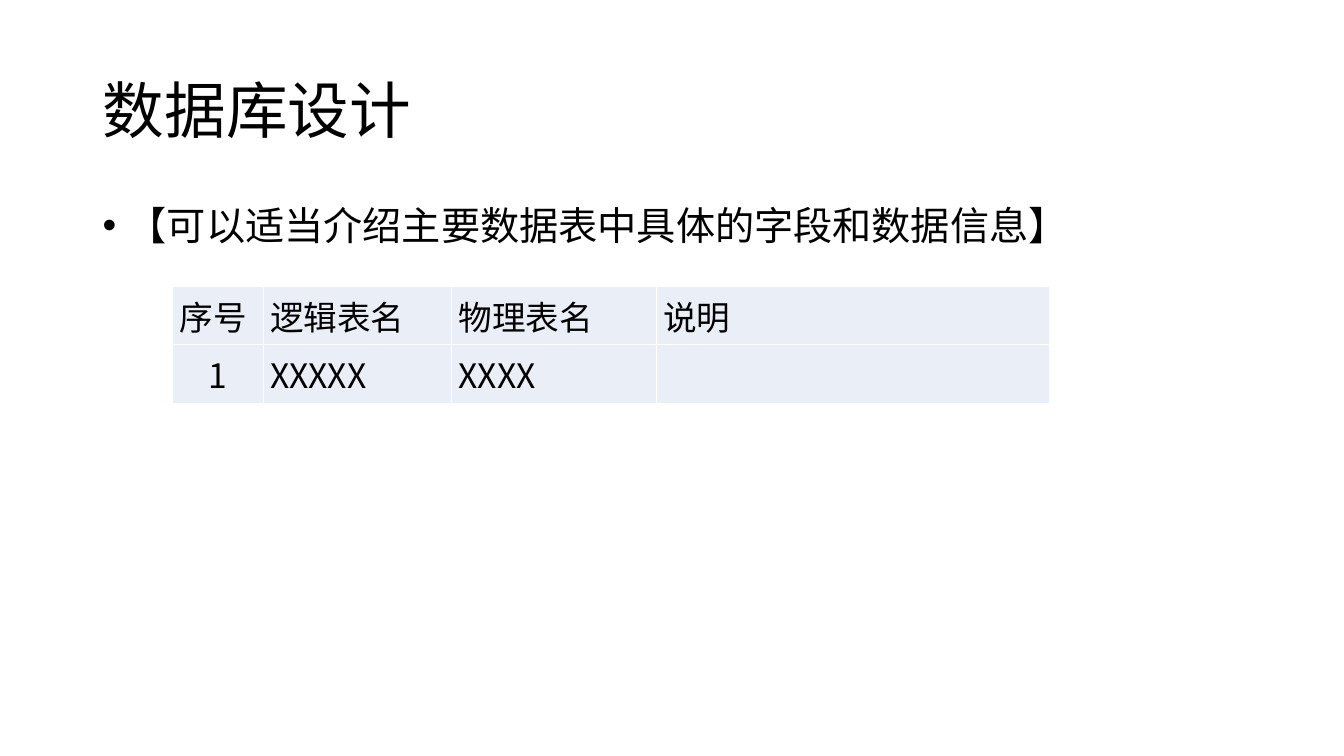
from dataclasses import dataclass

from lxml import etree
from pptx import Presentation
from pptx import util as u
from pptx.dml.color import RGBColor
from pptx.enum import text
from pptx.oxml import ns


@dataclass(frozen=True)
class Theme:
    font: str = "Noto Sans CJK SC"
    ink: str = "000000"
    cell_fill: str = "EAEFF7"
    border: str = "FFFFFF"
    title_size: int = 44
    body_size: int = 28
    table_size: int = 24


THEME = Theme()
COLUMN_WIDTHS = (0.9, 1.87, 2.03, 3.9)
ROW_HEIGHT = 0.58
TABLE_ROWS = (
    ("序号", "逻辑表名", "物理表名", "说明"),
    ("1", "XXXXX", "XXXX", ""),
)


def apply(target, values):
    for name, value in values.items():
        setattr(target, name, value)


def place(shape, left, top, width, height):
    apply(shape, {
        "left": u.Inches(left), "top": u.Inches(top),
        "width": u.Inches(width), "height": u.Inches(height),
    })


def write(paragraph, wording, size, **paragraph_format):
    """Add one run, with the font set for Latin and East Asian letters."""
    apply(paragraph, paragraph_format)
    run = paragraph.add_run()
    run.text = wording
    apply(run.font, {"name": THEME.font, "size": u.Pt(size), "bold": False})
    run.font.color.rgb = RGBColor.from_string(THEME.ink)
    properties = run.font._element
    etree.SubElement(properties, ns.qn("a:ea"), typeface=THEME.font)


def add_title(slide, wording):
    title = slide.shapes.title
    place(title, 0.92, 0.4, 11.5, 1.45)
    apply(title.text_frame, {
        "vertical_anchor": text.MSO_ANCHOR.MIDDLE, "word_wrap": True,
    })
    write(title.text_frame.paragraphs[0], wording, THEME.title_size,
          alignment=text.PP_ALIGN.LEFT, line_spacing=0.9)


def add_bullet(slide, wording):
    body = slide.shapes.add_textbox(*map(u.Inches, (0.92, 2, 11.5, 4.76)))
    body.text_frame.word_wrap = True
    paragraph = body.text_frame.paragraphs[0]
    write(paragraph, wording, THEME.body_size,
          line_spacing=0.9, space_before=u.Pt(10))
    properties = paragraph._p.get_or_add_pPr()
    properties.set("marL", str(u.Inches(0.25)))
    properties.set("indent", str(-u.Inches(0.25)))
    etree.SubElement(properties, ns.qn("a:buFont"), typeface="Arial")
    etree.SubElement(properties, ns.qn("a:buChar"), char="•")


def border_cell(cell):
    properties = cell._tc.get_or_add_tcPr()
    for position, side in enumerate(("lnL", "lnR", "lnT", "lnB")):
        line = etree.Element(ns.qn(f"a:{side}"), w=str(u.Pt(1)))
        fill = etree.SubElement(line, ns.qn("a:solidFill"))
        etree.SubElement(fill, ns.qn("a:srgbClr"), val=THEME.border)
        properties.insert(position, line)


def format_cell(cell):
    apply(cell, {
        "margin_left": u.Inches(0.07), "margin_right": u.Inches(0.07),
        "margin_top": 0, "margin_bottom": 0,
        "vertical_anchor": text.MSO_ANCHOR.MIDDLE,
    })
    cell.fill.solid()
    cell.fill.fore_color.rgb = RGBColor.from_string(THEME.cell_fill)
    border_cell(cell)


def add_schema_table(slide):
    frame = slide.shapes.add_table(
        len(TABLE_ROWS), len(COLUMN_WIDTHS), u.Inches(1.71), u.Inches(2.84),
        u.Inches(sum(COLUMN_WIDTHS)), u.Inches(ROW_HEIGHT * len(TABLE_ROWS)))
    schema = frame.table
    apply(schema, {"first_row": False, "horz_banding": False})
    for column, width in zip(schema.columns, COLUMN_WIDTHS):
        column.width = u.Inches(width)
    for row, entries in zip(schema.rows, TABLE_ROWS):
        row.height = u.Inches(ROW_HEIGHT)
        for cell, entry in zip(row.cells, entries):
            format_cell(cell)
            if entry:
                alignment = (text.PP_ALIGN.CENTER if entry.isdigit()
                             else text.PP_ALIGN.JUSTIFY)
                write(cell.text_frame.paragraphs[0], entry,
                      THEME.table_size, alignment=alignment)


def main():
    deck = Presentation()
    apply(deck, {"slide_width": u.Inches(13.33), "slide_height": u.Inches(7.5)})
    slide = deck.slides.add_slide(deck.slide_layouts.get_by_name("Title Only"))
    add_title(slide, "数据库设计")
    add_bullet(slide, "【可以适当介绍主要数据表中具体的字段和数据信息】")
    add_schema_table(slide)
    deck.save("out.pptx")


if __name__ == "__main__":
    main()
